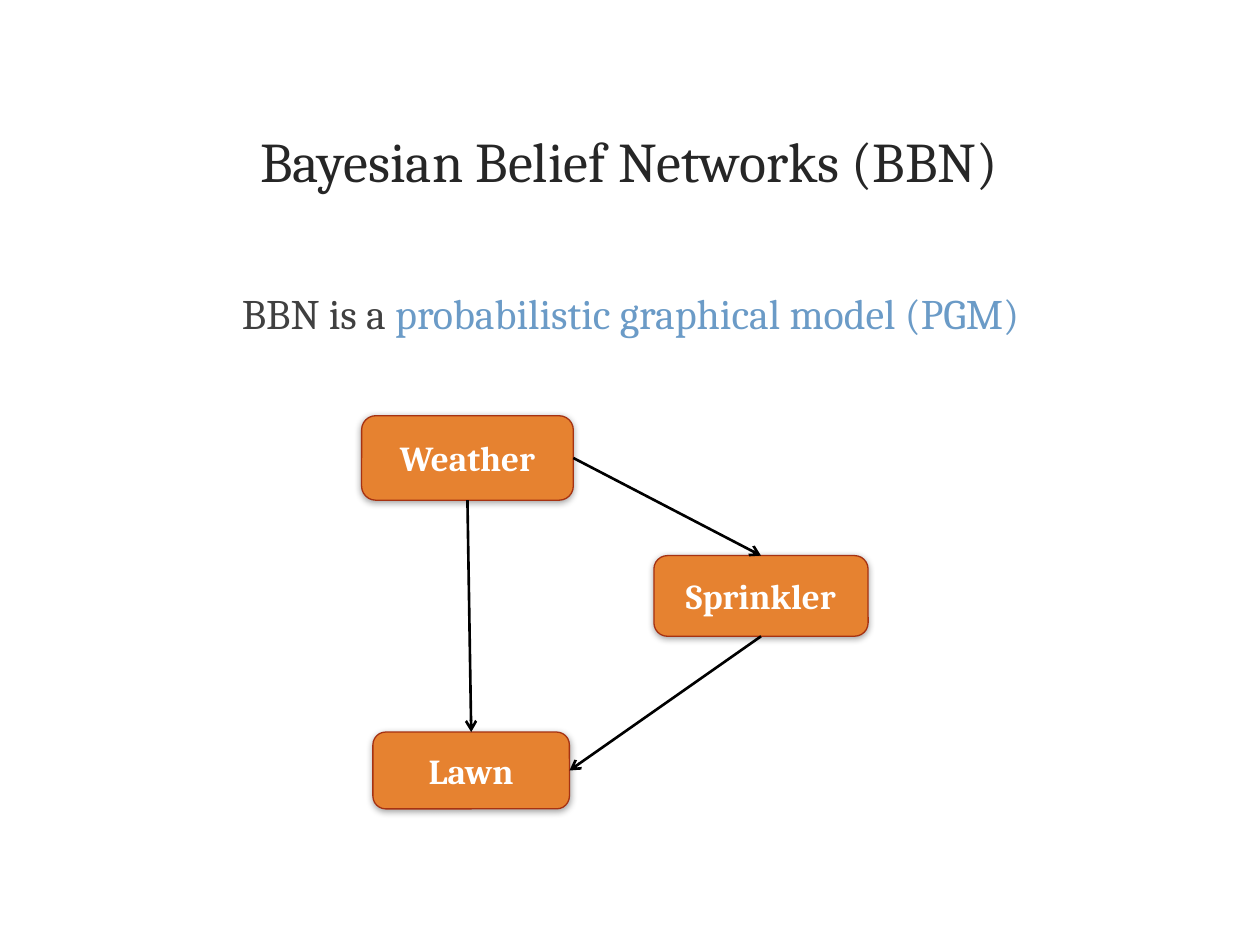
from lxml import etree
from pptx import Presentation
from pptx.dml.color import RGBColor
from pptx.enum.shapes import MSO_CONNECTOR, MSO_SHAPE
from pptx.enum.text import MSO_ANCHOR, PP_ALIGN
from pptx.oxml import parse_xml
from pptx.oxml.ns import nsdecls, qn
from pptx.util import Inches, Pt

STRAIGHT = MSO_CONNECTOR.STRAIGHT
ROUNDED = MSO_SHAPE.ROUNDED_RECTANGLE
TOP, MIDDLE = MSO_ANCHOR.TOP, MSO_ANCHOR.MIDDLE
CENTER = PP_ALIGN.CENTER
SIDE_TOP, SIDE_BOTTOM, SIDE_RIGHT = 0, 2, 3

THEME = {
    "font": "Cambria",
    "title": {"size": 32, "color": "262626", "bold": False},
    "body": {"size": 24, "color": "404040", "bold": False},
    "accent": {"size": 24, "color": "6B9BC7", "bold": False},
    "node": {"size": 20, "color": "FFFFFF", "bold": True},
    "node_fill": "E68230",
    "node_line": "A63212",
    "arrow": "000000",
}
SHADOW = (
    f'<a:outerShdw {nsdecls("a")} blurRad="{Pt(4)}" dist="{Pt(1)}" dir="5400000" '
    'rotWithShape="0"><a:srgbClr val="000000"><a:alpha val="37000"/></a:srgbClr></a:outerShdw>'
)


def rgb(name):
    return RGBColor.from_string(name)


def write(shape, anchor, runs):
    tf = shape.text_frame
    tf.word_wrap = True
    tf.vertical_anchor = anchor
    p = tf.paragraphs[0]
    p.alignment = CENTER
    for text, style in runs:
        r = p.add_run()
        r.text = text
        fmt = THEME[style]
        values = {"name": THEME["font"], "size": Pt(fmt["size"]), "bold": fmt["bold"]}
        for key, value in values.items():
            setattr(r.font, key, value)
        r.font.color.rgb = rgb(fmt["color"])


prs = Presentation()
prs.slide_width, prs.slide_height = Inches(10), Inches(7.5)
s = prs.slides.add_slide(prs.slide_layouts[6])

texts = [
    ((0.6, 0.48, 8.79, 1.58), MIDDLE, [("Bayesian Belief Networks (BBN)", "title")]),
    ((0.92, 2.23, 8.17, 4.32), TOP,
     [("BBN is a ", "body"), ("probabilistic graphical model (PGM)", "accent")]),
]
for box, anchor, runs in texts:
    write(s.shapes.add_textbox(*map(Inches, box)), anchor, runs)

network = s.shapes.add_group_shape()
boxes = {
    "Weather": (2.87, 3.3, 1.68, 0.67),
    "Lawn": (2.96, 5.81, 1.56, 0.61),
    "Sprinkler": (5.19, 4.41, 1.7, 0.64),
}
nodes = {}
for label, box in boxes.items():
    sp = network.shapes.add_shape(ROUNDED, *map(Inches, box))
    sp.fill.solid()
    sp.fill.fore_color.rgb = rgb(THEME["node_fill"])
    sp.line.color.rgb = rgb(THEME["node_line"])
    sp.line.width = Pt(0.75)
    sp.shadow.inherit = False
    sp.element.spPr.find(qn("a:effectLst")).append(parse_xml(SHADOW))
    write(sp, MIDDLE, [(label, "node")])
    nodes[label] = sp

edges = [
    ("Weather", SIDE_BOTTOM, "Lawn", SIDE_TOP),
    ("Sprinkler", SIDE_BOTTOM, "Lawn", SIDE_RIGHT),
    ("Weather", SIDE_RIGHT, "Sprinkler", SIDE_TOP),
]
for parent, exit_side, child, entry_side in edges:
    cxn = network.shapes.add_connector(STRAIGHT, 0, 0, 0, 0)
    cxn.begin_connect(nodes[parent], exit_side)
    cxn.end_connect(nodes[child], entry_side)
    cxn.line.color.rgb = rgb(THEME["arrow"])
    cxn.line.width = Pt(1.5)
    spPr = cxn.element.spPr
    etree.SubElement(spPr.find(qn("a:ln")), qn("a:tailEnd"), type="arrow")
    etree.SubElement(spPr, qn("a:effectLst"))

left = min(sp.left for sp in nodes.values())
top = min(sp.top for sp in nodes.values())
right = max(sp.left + sp.width for sp in nodes.values())
bottom = max(sp.top + sp.height for sp in nodes.values())
xfrm = network.element.grpSpPr.find(qn("a:xfrm"))
for origin, extent in (("a:off", "a:ext"), ("a:chOff", "a:chExt")):
    for tag, keys, values in (
        (origin, ("x", "y"), (left, top)),
        (extent, ("cx", "cy"), (right - left, bottom - top)),
    ):
        for key, value in zip(keys, values):
            xfrm.find(qn(tag)).set(key, str(value))

prs.save("out.pptx")
